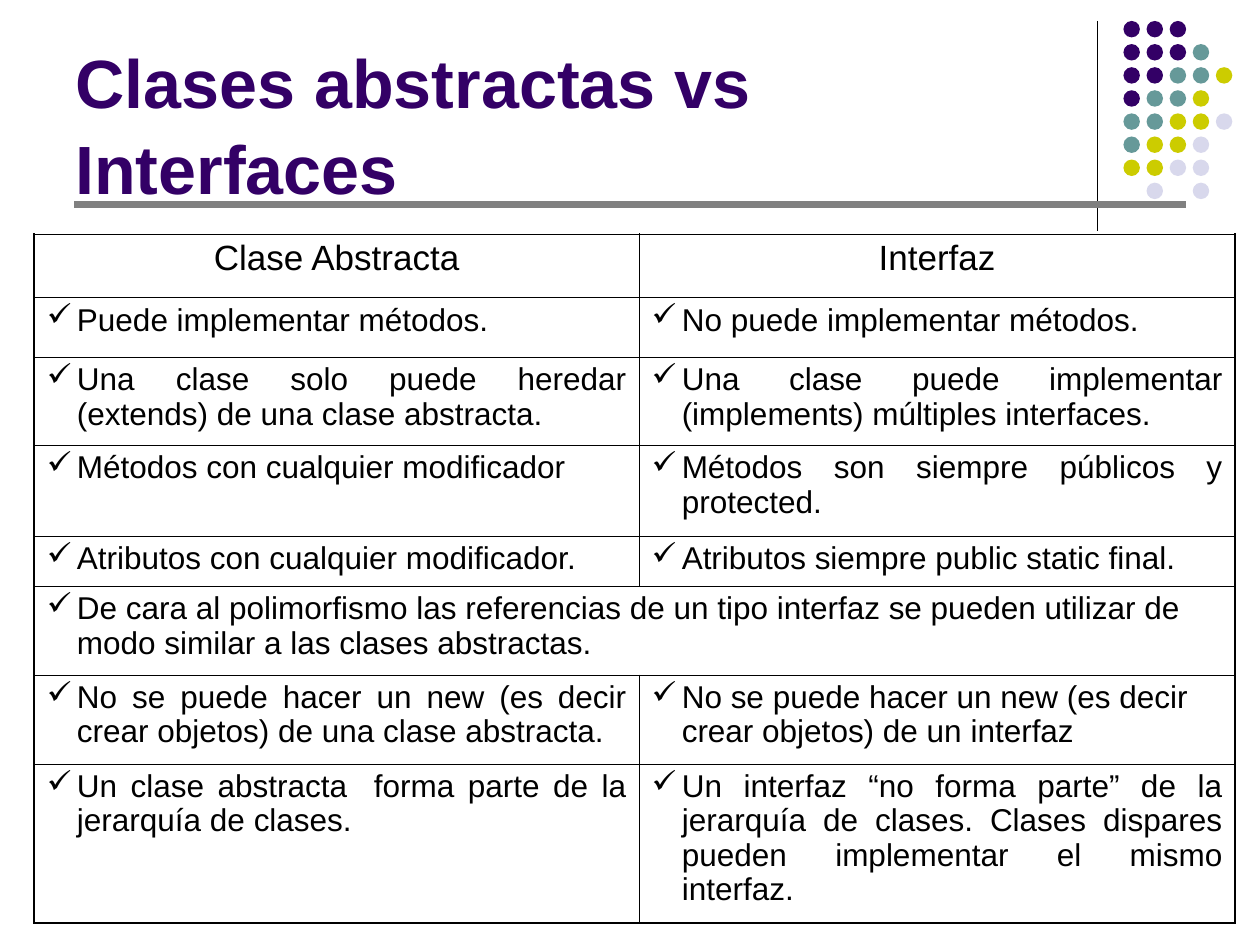
from typing import NamedTuple, Optional

from lxml import etree
from pptx import Presentation
from pptx.dml.color import RGBColor
from pptx.enum import shapes, text
from pptx.oxml import ns
from pptx.util import Pt

FONT = "Arial"
BLACK = "000000"
THICK, THIN = 1.08, 0.45
LEFT, CENTER, JUST = text.PP_ALIGN.LEFT, text.PP_ALIGN.CENTER, text.PP_ALIGN.JUSTIFY

TONES = {"P": "330066", "T": "669999", "Y": "CCCC00", "L": "D8D8EC"}
DOTS = ("PPP", "PPPT", "PPTTY", "PTTY", "TTYYL", "TYYL", "YYLL", " L L")
PITCH, SIZE = 13.2, 9.4
COLS = (345.6, 340.6)


class Row(NamedTuple):
    height: float
    left: str
    right: Optional[str]
    aligns: tuple = (JUST, JUST)
    size: float = 18
    tick: bool = True


ROWS = (
    Row(36, "Clase Abstracta", "Interfaz", (CENTER, CENTER), 20, False),
    Row(34.2, "Puede implementar métodos.", "No puede implementar métodos."),
    Row(50.3, "Una clase solo puede heredar (extends) de una clase abstracta.",
        "Una clase puede implementar (implements) múltiples interfaces."),
    Row(52, "Métodos con cualquier modificador",
        "Métodos son siempre públicos y protected."),
    Row(28.6, "Atributos con cualquier modificador.",
        "Atributos siempre public static final."),
    Row(50.8, "De cara al polimorfismo las referencias de un tipo interfaz se pueden "
        "utilizar de modo similar a las clases abstractas.", None, (LEFT, LEFT)),
    Row(50.8, "No se puede hacer un new (es decir crear objetos) de una clase abstracta.",
        "No se puede hacer un new (es decir crear objetos) de un interfaz", (JUST, LEFT)),
    Row(87.4, "Un clase abstracta  forma parte de la jerarquía de clases.",
        "Un interfaz “no forma parte” de la jerarquía de clases. Clases dispares "
        "pueden implementar el mismo interfaz."),
)


def color(code: str) -> RGBColor:
    return RGBColor.from_string(code)


def write(frame, words: str, *, size: float, tone: str = BLACK, bold: bool = False,
          align=LEFT, space: float = 1.0, tick: bool = False) -> None:
    para = frame.paragraphs[0]
    para.alignment = align
    para.line_spacing = space
    if tick:
        props = para._p.get_or_add_pPr()
        props.set("marL", str(Pt(17.2)))
        props.set("indent", str(-Pt(17.2)))
        etree.SubElement(props, ns.qn("a:buChar"), char="✓")
    run = para.add_run()
    run.text = words
    font = run.font
    font.name, font.size, font.bold = FONT, Pt(size), bold
    font.color.rgb = color(tone)


def line(slide, x1: float, y1: float, x2: float, y2: float, tone: str, width: float) -> None:
    item = slide.shapes.add_connector(
        shapes.MSO_CONNECTOR.STRAIGHT, Pt(x1), Pt(y1), Pt(x2), Pt(y2))
    item.line.color.rgb = color(tone)
    item.line.width = Pt(width)
    etree.SubElement(item._element.spPr, ns.qn("a:effectLst"))


def dot(slide, x: float, y: float, tone: str) -> None:
    item = slide.shapes.add_shape(
        shapes.MSO_SHAPE.OVAL, Pt(x), Pt(y), Pt(SIZE), Pt(SIZE))
    item.shadow.inherit = False
    item.fill.solid()
    item.fill.fore_color.rgb = color(tone)
    item.line.fill.background()


def border(cell, widths: dict) -> None:
    """Draw cell sides; the keys L, R, T, B must come in that order."""
    props = cell._tc.get_or_add_tcPr()
    for spot, (side, width) in enumerate(widths.items()):
        edge = etree.Element(ns.qn(f"a:ln{side}"), w=str(Pt(width)))
        fill = etree.SubElement(edge, ns.qn("a:solidFill"))
        etree.SubElement(fill, ns.qn("a:srgbClr"), val=BLACK)
        props.insert(spot, edge)


def grid(slide) -> None:
    """Build the comparison table."""
    table = slide.shapes.add_table(
        len(ROWS), len(COLS), Pt(19.6), Pt(133.9), Pt(sum(COLS)),
        Pt(sum(row.height for row in ROWS))).table
    table.first_row = table.horz_banding = False
    for col, width in zip(table.columns, COLS):
        col.width = Pt(width)
    for i, row in enumerate(ROWS):
        table.rows[i].height = Pt(row.height)
        wide = row.right is None
        if wide:
            table.cell(i, 0).merge(table.cell(i, 1))
        for j, words in enumerate((row.left, row.right)):
            cell = table.cell(i, j)
            cell.fill.background()
            if words is None:
                continue
            write(cell.text_frame, words, size=row.size, align=row.aligns[j],
                  space=0.97, tick=row.tick)
            border(cell, {
                "L": THICK if j == 0 else THIN,
                "R": THICK if j == 1 or wide else THIN,
                "T": THICK if i == 0 else THIN,
                "B": THICK if i == len(ROWS) - 1 else THIN,
            })


def main() -> None:
    deck = Presentation()
    deck.slide_width, deck.slide_height = Pt(720), Pt(540)
    slide = deck.slides.add_slide(deck.slide_layouts[6])

    line(slide, 627, 12, 627, 132, BLACK, 0.75)
    for i, tones in enumerate(DOTS):
        for j, key in enumerate(tones):
            if key in TONES:
                dot(slide, 642 + j * PITCH, 12 + i * PITCH, TONES[key])
    line(slide, 42.5, 116.8, 677.5, 116.8, "808080", 4)

    title = slide.shapes.add_textbox(Pt(36), Pt(9.4), Pt(594), Pt(113)).text_frame
    title.word_wrap = True
    title.vertical_anchor = text.MSO_ANCHOR.BOTTOM
    write(title, "Clases abstractas vs Interfaces", size=39, tone="330066",
          bold=True, space=1.05)

    grid(slide)
    deck.save("out.pptx")


if __name__ == "__main__":
    main()
